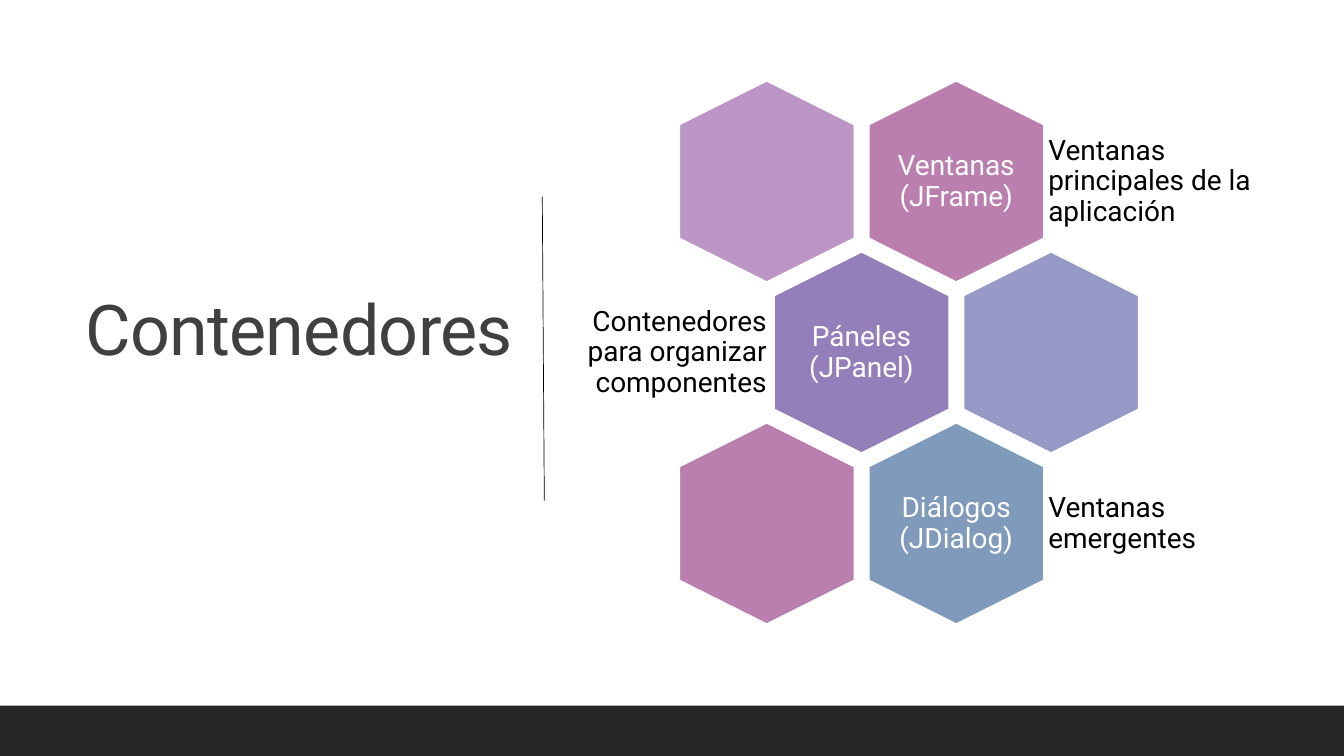
"""Build the slide "Contenedores": a title beside a honeycomb of Swing containers."""
from lxml import etree
from pptx import Presentation
from pptx.dml.color import RGBColor
from pptx.enum.shapes import MSO_CONNECTOR, MSO_SHAPE
from pptx.enum.text import MSO_ANCHOR, MSO_AUTO_SIZE, PP_ALIGN
from pptx.oxml.ns import qn
from pptx.util import Inches, Pt

HEXAGON, RECTANGLE = MSO_SHAPE.HEXAGON, MSO_SHAPE.RECTANGLE
STRAIGHT = MSO_CONNECTOR.STRAIGHT
MIDDLE = MSO_ANCHOR.MIDDLE
NO_FIT = MSO_AUTO_SIZE.NONE
LEFT, CENTER, RIGHT = PP_ALIGN.LEFT, PP_ALIGN.CENTER, PP_ALIGN.RIGHT

WHITE = RGBColor(0xFF, 0xFF, 0xFF)
BLACK = RGBColor(0x00, 0x00, 0x00)
CHARCOAL = RGBColor(0x26, 0x26, 0x26)
GRAY = RGBColor(0x40, 0x40, 0x40)
LILAC = RGBColor(0xBC, 0x96, 0xC6)
PINK = RGBColor(0xBA, 0x7F, 0xAE)
PURPLE = RGBColor(0x95, 0x7F, 0xBA)
PERIWINKLE = RGBColor(0x96, 0x98, 0xC6)
BLUE = RGBColor(0x7F, 0x9A, 0xBA)

FONT = "Roboto"
WIDTH, HEIGHT = Inches(20), Inches(11.25)
HALF_COLUMN, ROW = Inches(1.41), Inches(2.545)
FIRST_X, FIRST_Y = Inches(11.41), Inches(2.7)
HEX_LENGTH, HEX_BREADTH = Inches(3), Inches(2.61)
NAME_WIDTH, NAME_HEIGHT = Inches(1.82), Inches(2.08)
LABEL_HEIGHT = Inches(1.8)

HEXAGONS = [
    (2, 0, PINK, "Ventanas (JFrame)"),
    (0, 0, LILAC, ""),
    (1, 1, PURPLE, "Páneles (JPanel)"),
    (3, 1, PERIWINKLE, ""),
    (2, 2, BLUE, "Diálogos (JDialog)"),
    (0, 2, PINK, ""),
]
LABELS = [
    (15.6, 3.37, 0, LEFT, "Ventanas principales de la aplicación"),
    (8.15, 3.26, 1, RIGHT, "Contenedores para organizar componentes"),
    (15.6, 3.37, 2, LEFT, "Ventanas emergentes"),
]


def write(box, text, size, spacing, color, alignment):
    frame = box.text_frame
    frame.word_wrap = True
    frame.auto_size = NO_FIT
    frame.vertical_anchor = MIDDLE
    frame.margin_left = frame.margin_right = 0
    frame.margin_top = frame.margin_bottom = 0
    para = frame.paragraphs[0]
    para.alignment = alignment
    para.line_spacing = Pt(spacing)
    span = para.add_run()
    span.text = text
    span.font.name = FONT
    span.font.size = Pt(size)
    span.font.color.rgb = color
    return span


deck = Presentation()
deck.slide_width, deck.slide_height = WIDTH, HEIGHT
page = deck.slides.add_slide(deck.slide_layouts[5])

title = page.shapes.title
title.left, title.top = Inches(1.06), Inches(2.56)
title.width, title.height = Inches(6.57), Inches(4.89)
heading = write(title, "Contenedores", 75, 72, GRAY, RIGHT)
heading.font._element.set("spc", "-80")

band_top = int(HEIGHT * 14 / 15)
band = page.shapes.add_shape(RECTANGLE, 0, band_top, WIDTH, HEIGHT - band_top)
band.shadow.inherit = False
band.fill.solid()
band.fill.fore_color.rgb = CHARCOAL
band.line.fill.background()

divider = page.shapes.add_connector(
    STRAIGHT, Inches(8.07), Inches(2.93), Inches(8.1), Inches(7.45))
divider.line.color.rgb = BLACK
divider.line.width = Pt(0.75)
etree.SubElement(divider._element.spPr, qn("a:effectLst"))

for column, row, color, name in HEXAGONS:
    x, y = FIRST_X + column * HALF_COLUMN, FIRST_Y + row * ROW
    cell = page.shapes.add_shape(
        HEXAGON, x - HEX_LENGTH // 2, y - HEX_BREADTH // 2, HEX_LENGTH, HEX_BREADTH)
    cell.rotation = 90
    cell.adjustments[0] = 0.25
    cell.shadow.inherit = False
    cell.fill.solid()
    cell.fill.fore_color.rgb = color
    cell.line.color.rgb = WHITE
    cell.line.width = Pt(2)
    if name:
        box = page.shapes.add_textbox(
            x - NAME_WIDTH // 2, y - NAME_HEIGHT // 2, NAME_WIDTH, NAME_HEIGHT)
        write(box, name, 30, 32.4, WHITE, CENTER)

for left, width, row, alignment, text in LABELS:
    top = FIRST_Y + row * ROW - LABEL_HEIGHT // 2
    box = page.shapes.add_textbox(Inches(left), top, Inches(width), LABEL_HEIGHT)
    write(box, text, 30, 32.4, BLACK, alignment)

deck.save("out.pptx")
